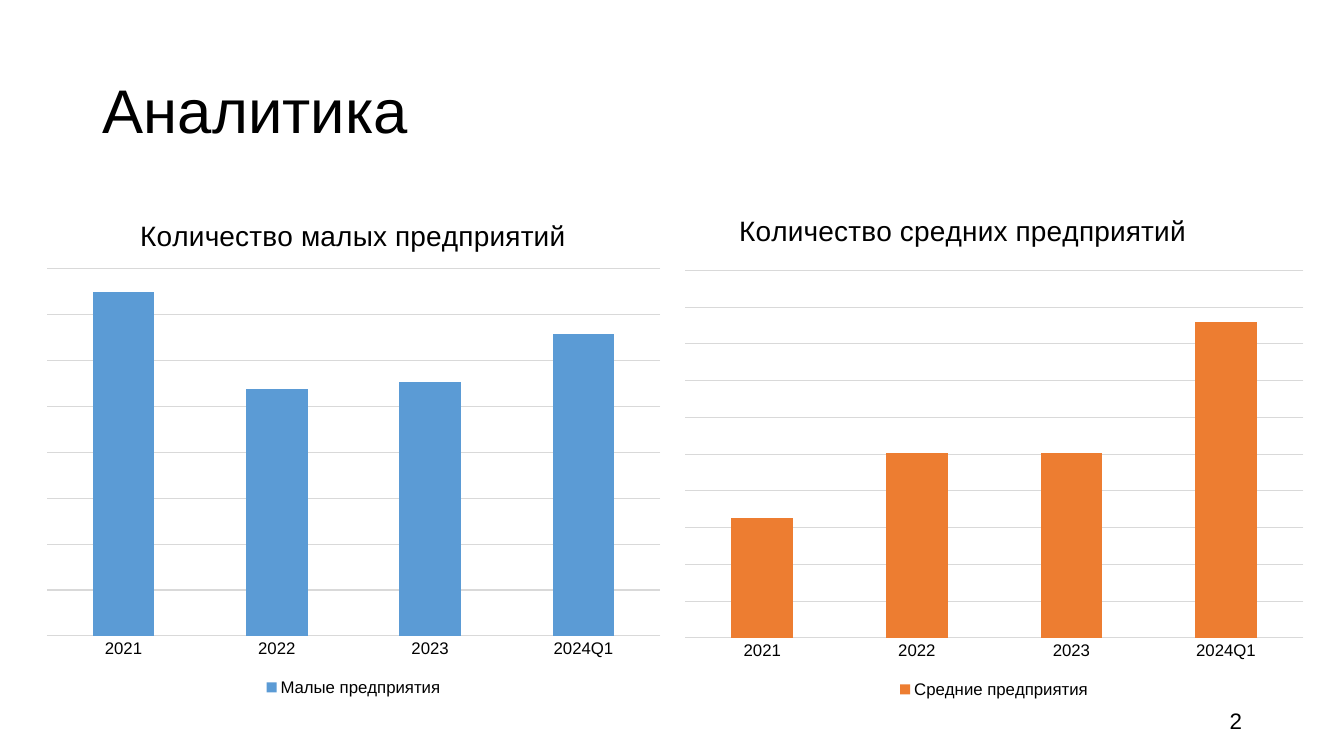
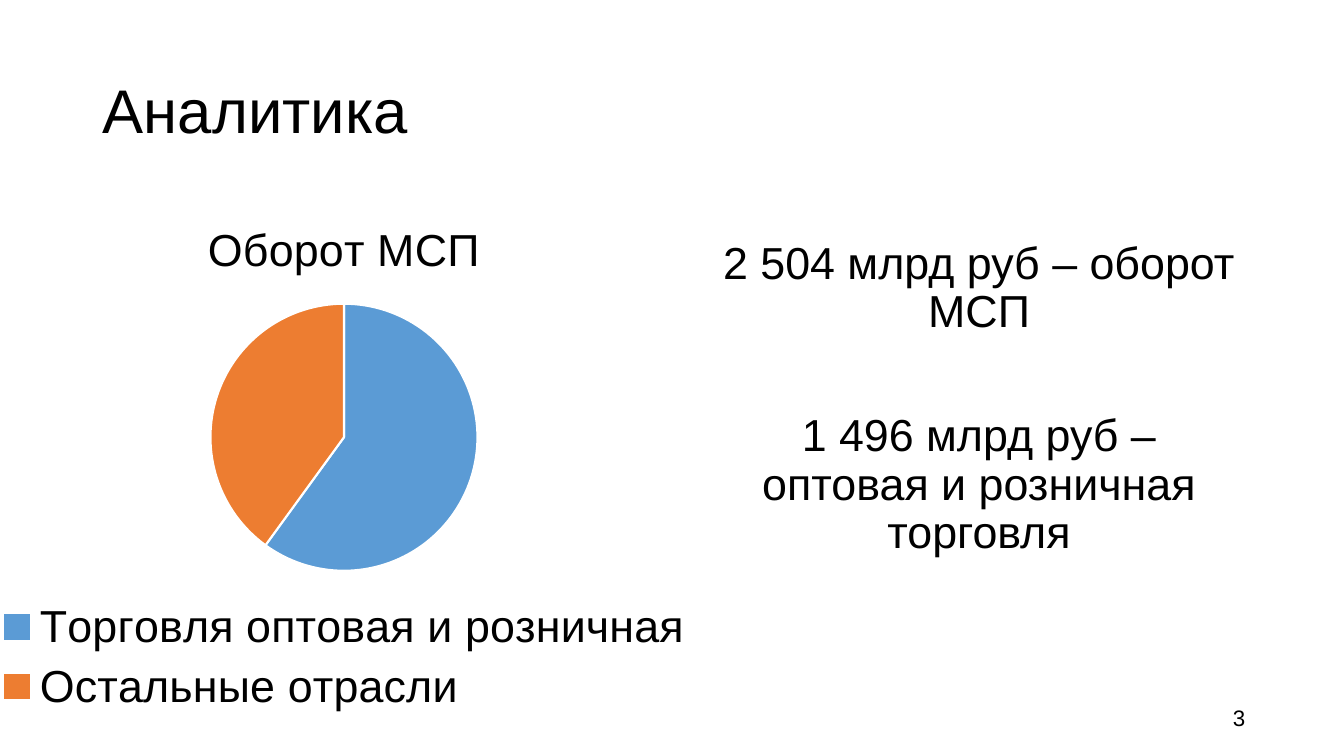
import pptx
import pptx.chart.data
import pptx.dml.color
import pptx.enum.chart
import pptx.enum.text
import pptx.oxml
import pptx.oxml.ns
import pptx.util

Cm, Pt = pptx.util.Cm, pptx.util.Pt
XL = pptx.enum.chart
ALIGN = pptx.enum.text.PP_ALIGN
ANCHOR = pptx.enum.text.MSO_ANCHOR
qn = pptx.oxml.ns.qn

FONT = "Arial"
BLACK, WHITE, GRID = "000000", "FFFFFF", "D9D9D9"
BLUE, ORANGE = "5B9BD5", "ED7D31"
TITLE_ONLY, TITLE_AND_BODY = 5, 1

HEADING = "Аналитика"
HEADING_BOX = (2.34, 1.02, 29.21, 3.68)
BODY_BOX = (17.73, 5.94, 13.89, 12.09)
PERIODS = ["2021", "2022", "2023", "2024Q1"]

# title_at and plot: percent of the chart area
# scale: minimum, maximum, number of gridline steps
BAR_PLOT = (2, 13.4, 96, 73.7)
BAR_CHARTS = [
    dict(title="Количество малых предприятий", title_at=(15.8, 2.3),
         name="Малые предприятия", values=[100, 72, 74, 88], color=BLUE,
         box=(0.86, 5.08, 16.1, 12.57), scale=(0, 107, 8)),
    dict(title="Количество средних предприятий", title_at=(9.6, 0.9),
         name="Средние предприятия", values=[94, 96, 96, 100], color=ORANGE,
         box=(16.94, 5.13, 16.23, 12.57), scale=(90.3, 101.6, 10)),
]
TURNOVER = dict(
    title="Оборот МСП", box=(-2.62, 4.95, 22.58, 13.21),
    plot=(35.1, 20.4, 29.8, 51.1),
    slices=[("Торговля оптовая и розничная", 60, BLUE),
            ("Остальные отрасли", 40, ORANGE)])
FACTS = ["2 504 млрд руб – оборот МСП",
         "1 496 млрд руб – оптовая и розничная торговля"]


def rgb(value):
    return pptx.dml.color.RGBColor.from_string(value)


def style_font(font, size):
    font.name, font.size, font.bold = FONT, Pt(size), False
    font.color.rgb = rgb(BLACK)


def style_line(line, color, width):
    line.color.rgb = rgb(color)
    line.width = Pt(width)


def place(shape, box):
    shape.left, shape.top, shape.width, shape.height = map(Cm, box)


def style_paragraph(p, size, align, spacing=0.9):
    p.alignment, p.line_spacing = align, spacing
    for r in p.runs:
        style_font(r.font, size)


def set_layout(parent, index, percents):
    """Fix a chart part: left, top and, if given, width and height."""
    for old in parent.findall(qn("c:layout")):
        parent.remove(old)
    target = '<c:layoutTarget val="inner"/>' if len(percents) == 4 else ""
    modes = "".join(f'<c:{k}Mode val="edge"/>' for k in "xy")
    sizes = "".join(f'<c:{k} val="{v / 100:.3f}"/>'
                    for k, v in zip("xywh", percents))
    parent.insert(index, pptx.oxml.parse_xml(
        f'<c:layout {pptx.oxml.ns.nsdecls("c")}><c:manualLayout>'
        f'{target}{modes}{sizes}</c:manualLayout></c:layout>'))


def add_slide(prs, layout, number, number_box):
    s = prs.slides.add_slide(prs.slide_layouts[layout])
    place(s.shapes.title, HEADING_BOX)
    tf = s.shapes.title.text_frame
    tf.text = HEADING
    tf.vertical_anchor = ANCHOR.MIDDLE
    style_paragraph(tf.paragraphs[0], 44, ALIGN.LEFT)

    tf = s.shapes.add_textbox(*map(Cm, number_box)).text_frame
    tf.text = str(number)
    tf.word_wrap = True
    tf.vertical_anchor = ANCHOR.MIDDLE
    style_paragraph(tf.paragraphs[0], 16, ALIGN.RIGHT, 1)
    return s


def add_chart(s, kind, box, categories, name, values, title, plot,
              title_size, legend_size):
    data = pptx.chart.data.CategoryChartData(number_format="#,##0")
    data.categories = categories
    data.add_series(name, values)
    chart = s.shapes.add_chart(kind, *map(Cm, box), data).chart
    style_font(chart.font, 10)
    chart.has_title = True
    chart.chart_title.text_frame.text = title
    style_paragraph(chart.chart_title.text_frame.paragraphs[0],
                    title_size, ALIGN.CENTER, None)
    chart.chart_title.include_in_layout = False
    chart.has_legend = True
    chart.legend.position = XL.XL_LEGEND_POSITION.BOTTOM
    chart.legend.include_in_layout = False
    style_font(chart.legend.font, legend_size)
    set_layout(chart.plots[0]._element.getparent(), 0, plot)
    return chart


def add_bar_chart(s, item):
    chart = add_chart(s, XL.XL_CHART_TYPE.COLUMN_CLUSTERED, item["box"], PERIODS,
                      item["name"], item["values"], item["title"], BAR_PLOT, 20, 12)
    set_layout(chart.chart_title._element, 1, item["title_at"])
    bars = chart.plots[0]
    bars.gap_width, bars.vary_by_categories = 150, False
    fill = bars.series[0].format.fill
    fill.solid()
    fill.fore_color.rgb = rgb(item["color"])

    axis = chart.category_axis
    axis.major_tick_mark = XL.XL_TICK_MARK.NONE
    style_font(axis.tick_labels.font, 12)
    style_line(axis.format.line, GRID, 0.75)

    axis = chart.value_axis
    low, high, steps = item["scale"]
    axis.minimum_scale, axis.maximum_scale = low, high
    axis.major_unit = (high - low) / steps
    axis.has_major_gridlines = True
    style_line(axis.major_gridlines.format.line, GRID, 0.75)
    axis.visible = False


def add_pie_chart(s, item):
    labels, values, colors = zip(*item["slices"])
    chart = add_chart(s, XL.XL_CHART_TYPE.PIE, item["box"], labels, item["title"],
                      values, item["title"], item["plot"], 32, 32)
    for i, color in enumerate(colors):
        fmt = chart.plots[0].series[0].points[i].format
        fmt.fill.solid()
        fmt.fill.fore_color.rgb = rgb(color)
        style_line(fmt.line, WHITE, 1.5)


def fill_body(body):
    place(body, BODY_BOX)
    tf = body.text_frame
    tf.text = "\n".join(FACTS)
    tf.auto_size = pptx.enum.text.MSO_AUTO_SIZE.NONE
    for p, space in zip(tf.paragraphs, (0, 54)):
        style_paragraph(p, 32, ALIGN.CENTER)
        p.space_before = Pt(space)
        pPr = p._p.get_or_add_pPr()
        pPr.set("marL", "0")
        pPr.set("indent", "0")
        pPr.append(pptx.oxml.parse_xml(
            f'<a:buNone {pptx.oxml.ns.nsdecls("a")}/>'))


def main():
    prs = pptx.Presentation()
    prs.slide_width, prs.slide_height = Cm(33.87), Cm(19.05)

    s = add_slide(prs, TITLE_ONLY, 2, (23.93, 17.65, 7.62, 1.02))
    for item in BAR_CHARTS:
        add_bar_chart(s, item)

    s = add_slide(prs, TITLE_AND_BODY, 3, (23.93, 17.65, 7.7, 0.86))
    fill_body(s.placeholders[1])
    add_pie_chart(s, TURNOVER)

    prs.save("out.pptx")


if __name__ == "__main__":
    main()
